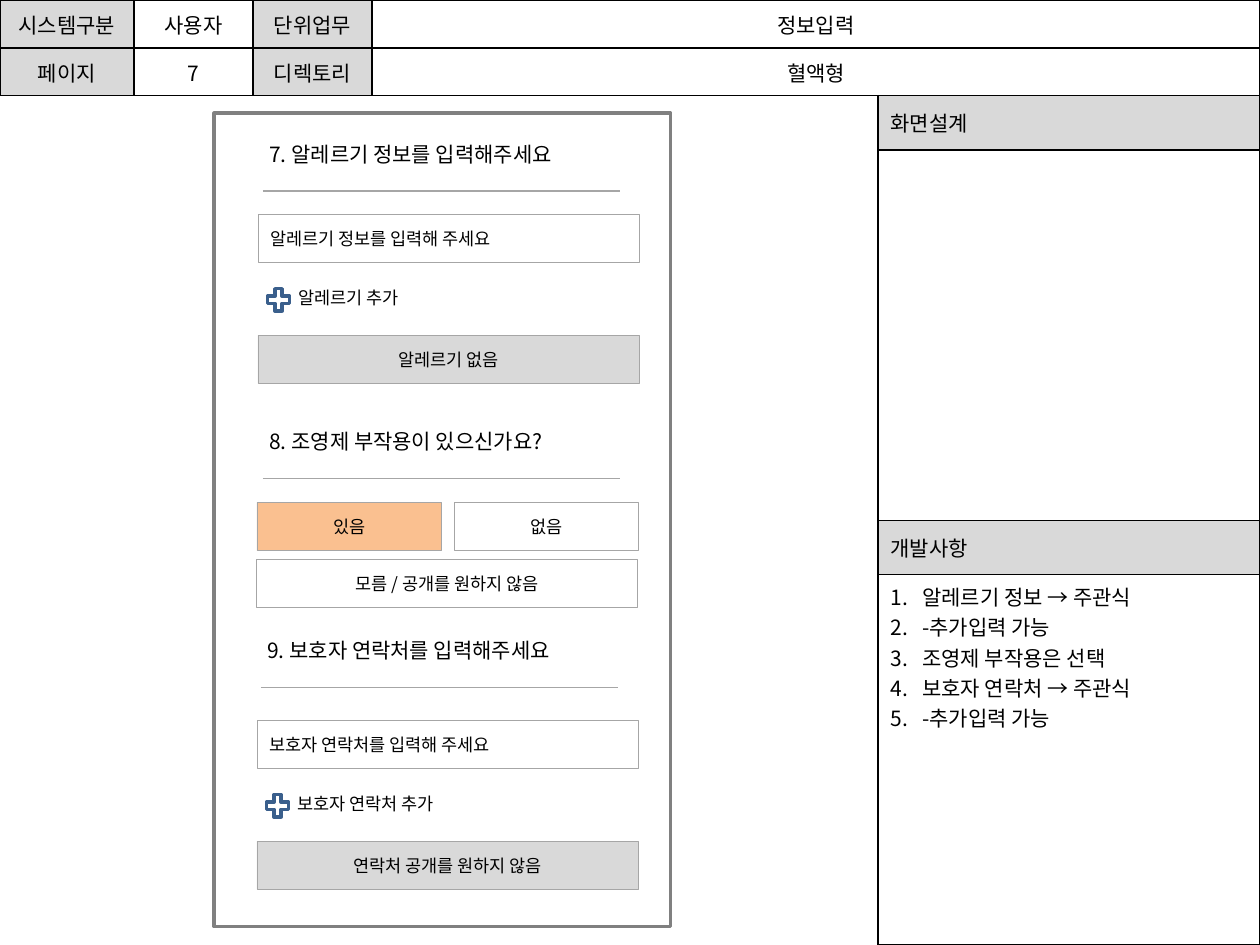
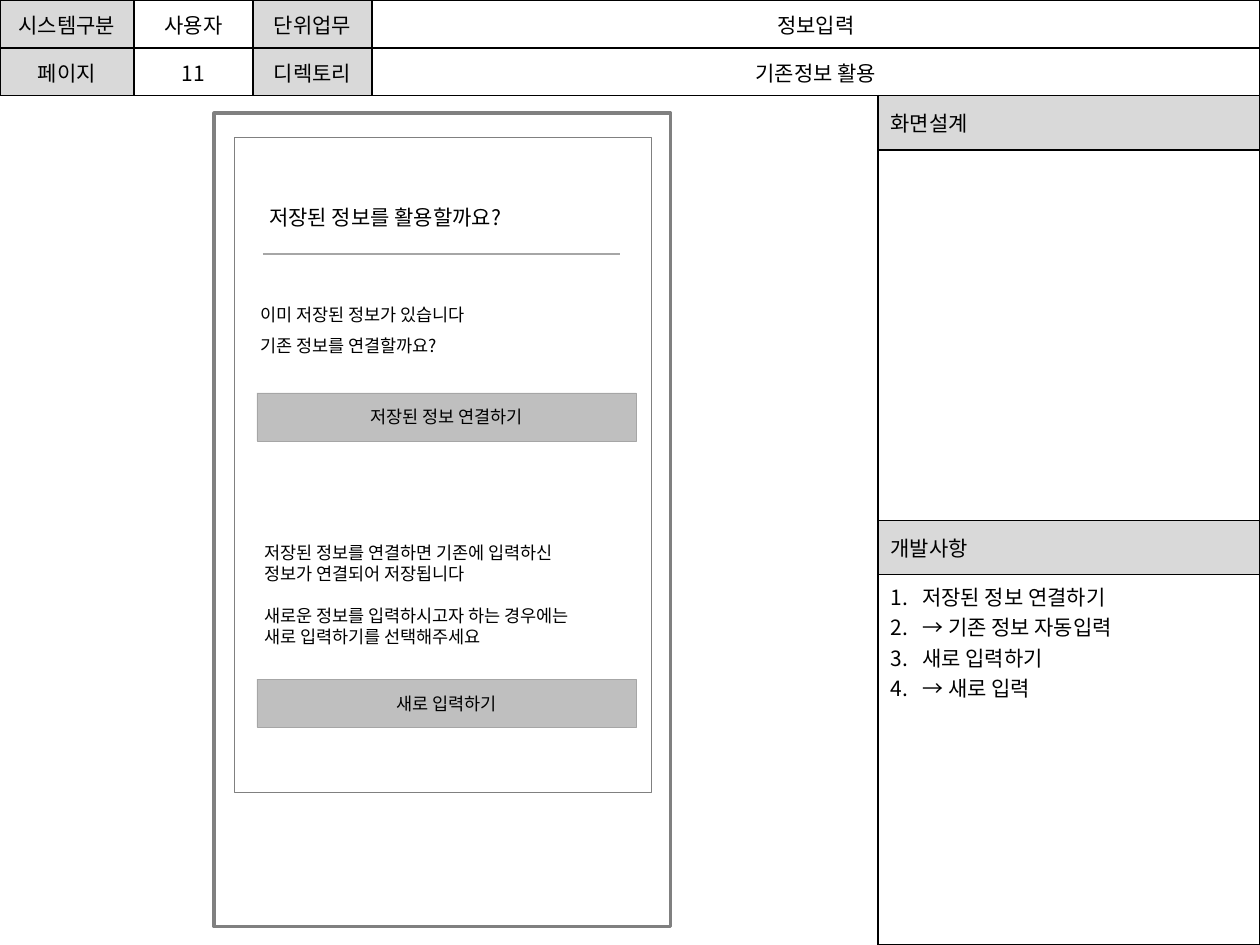
import pptx
import pptx.util
import pptx.dml.color
import pptx.enum.shapes
import pptx.enum.text
import pptx.oxml.ns
from lxml import etree
from pptx.util import Cm

COLORS = {"black": "000000", "white": "FFFFFF", "header": "D9D9D9", "button": "BFBFBF",
          "selected": "FAC090", "frame": "808080", "rule": "A6A6A6", "plus": "3A5F8C"}
FONT = "Noto Sans CJK KR"
SHAPES = pptx.enum.shapes.MSO_SHAPE
ALIGN = pptx.enum.text.PP_ALIGN
ANCHOR = pptx.enum.text.MSO_ANCHOR


def rgb(name):
    return pptx.dml.color.RGBColor.from_string(COLORS[name])


def add_xml(parent, tag, **attributes):
    return etree.SubElement(parent, pptx.oxml.ns.qn(tag), attributes)


class Storyboard:
    """Holds the deck style and draws elements on the current page."""

    def __init__(self):
        self.deck = pptx.Presentation()
        self.deck.slide_width, self.deck.slide_height = Cm(25.4), Cm(19.05)

    def new_page(self, number, directory, notes):
        self.page = self.deck.slides.add_slide(self.deck.slide_layouts[6])
        self.table(0, 0, [2.7, 2.4, 2.4, 17.9], [0.97, 0.96],
                   [["시스템구분", "사용자", "단위업무", "정보입력"],
                    ["페이지", number, "디렉토리", directory]],
                   lambda row, column: column % 2 == 0, ALIGN.CENTER)
        panel = self.table(17.7, 1.93, [7.7], [1.09, 7.47] * 2,
                           [["화면설계"], [""], ["개발사항"], ["\n".join(notes)]],
                           lambda row, column: row % 2 == 0, ALIGN.LEFT)
        self.number_list(panel.cell(3, 0))
        self.rectangle(4.32, 2.28, 9.2, 16.4, "white", "frame", 2)

    def set_text(self, frame, text, size, align=ALIGN.LEFT, spacing=None):
        frame.text = text
        for para in frame.paragraphs:
            para.alignment = align
            para.line_spacing = spacing
            for span in para.runs:
                span.font.size = pptx.util.Pt(size)
                span.font.name = FONT
                span.font.color.rgb = rgb("black")
                add_xml(span.font._element, "a:ea", typeface=FONT)

    def table(self, left, top, widths, heights, rows, is_header, align):
        graphic = self.page.shapes.add_table(len(rows), len(widths), Cm(left), Cm(top),
                                             Cm(sum(widths)), Cm(sum(heights)))
        table = graphic.table
        for column, width in zip(table.columns, widths):
            column.width = Cm(width)
        for row_index, (height, texts) in enumerate(zip(heights, rows)):
            table.rows[row_index].height = Cm(height)
            for column_index, text in enumerate(texts):
                cell = table.cell(row_index, column_index)
                self.set_text(cell.text_frame, text, 12, align)
                cell.vertical_anchor = ANCHOR.MIDDLE
                self.borders(cell)
                cell.fill.solid()
                cell.fill.fore_color.rgb = rgb("header" if is_header(row_index, column_index) else "white")
        return table

    def borders(self, cell):
        properties = cell._tc.get_or_add_tcPr()
        for side in "LRTB":
            line = add_xml(properties, f"a:ln{side}", w=str(pptx.util.Pt(1)))
            add_xml(add_xml(line, "a:solidFill"), "a:srgbClr", val=COLORS["black"])

    def number_list(self, cell):
        cell.vertical_anchor = ANCHOR.TOP
        indent = Cm(0.64)
        for para in cell.text_frame.paragraphs:
            properties = para._p.get_or_add_pPr()
            properties.set("marL", str(indent))
            properties.set("indent", str(-indent))
            add_xml(properties, "a:buAutoNum", type="arabicPeriod")

    def rectangle(self, left, top, width, height, fill, line="rule", weight=0.25, kind=SHAPES.RECTANGLE):
        box = self.page.shapes.add_shape(kind, Cm(left), Cm(top), Cm(width), Cm(height))
        box.shadow.inherit = False
        if fill:
            box.fill.solid()
            box.fill.fore_color.rgb = rgb(fill)
        else:
            box.fill.background()
        box.line.color.rgb = rgb(line)
        box.line.width = pptx.util.Pt(weight)
        return box

    def button(self, left, top, text, fill="white", width=7.68, align=ALIGN.CENTER):
        box = self.rectangle(left, top, width, 0.97, fill)
        self.set_text(box.text_frame, text, 10, align)
        box.text_frame.vertical_anchor = ANCHOR.MIDDLE

    def label(self, left, top, width, height, text, size=10, spacing=None):
        box = self.page.shapes.add_textbox(Cm(left), Cm(top), Cm(width), Cm(height))
        frame = box.text_frame
        frame.word_wrap = False
        frame.auto_size = pptx.enum.text.MSO_AUTO_SIZE.SHAPE_TO_FIT_TEXT
        self.set_text(frame, text, size, spacing=spacing)
        return frame

    def question(self, left, top, width, text):
        start, level = left + 0.12, top + 1.13
        rule = self.page.shapes.add_connector(pptx.enum.shapes.MSO_CONNECTOR.STRAIGHT,
                                              Cm(start), Cm(level), Cm(start + 7.2), Cm(level))
        rule.line.color.rgb = rgb("rule")
        rule.line.width = pptx.util.Pt(0.75)
        add_xml(rule._element.spPr, "a:effectLst")
        self.label(left, top, width, 0.77, text, 12)

    def entry(self, left, top, prompt, more, more_width, decline):
        self.button(left, top, prompt, align=ALIGN.LEFT)
        self.label(left + 0.57, top + 1.35, more_width, 0.68, more)
        self.rectangle(left + 0.11, top + 1.42, 0.61, 0.61, "white", "plus", 2, SHAPES.MATH_PLUS)
        self.button(left, top + 2.44, decline, "header")


def allergy_page(board):
    board.new_page("7", "혈액형", ["알레르기 정보 → 주관식", "-추가입력 가능", "조영제 부작용은 선택",
                                "보호자 연락처 → 주관식", "-추가입력 가능"])
    board.question(5.18, 2.72, 6.91, "7. 알레르기 정보를 입력해주세요")
    board.entry(5.2, 4.32, "알레르기 정보를 입력해 주세요", "알레르기 추가", 2.77, "알레르기 없음")
    board.question(5.18, 8.52, 6.73, "8. 조영제 부작용이 있으신가요?")
    board.button(5.18, 10.13, "있음", "selected", 3.72)
    board.button(9.15, 10.13, "없음", width=3.72)
    board.button(5.17, 11.27, "모름 / 공개를 원하지 않음")
    board.question(5.14, 12.73, 6.91, "9. 보호자 연락처를 입력해주세요")
    board.entry(5.18, 14.52, "보호자 연락처를 입력해 주세요", "보호자 연락처 추가", 3.61,
                "연락처 공개를 원하지 않음")


def reuse_page(board):
    board.new_page("11", "기존정보 활용", ["저장된 정보 연결하기", "→ 기존 정보 자동입력",
                                     "새로 입력하기", "→ 새로 입력"])
    board.rectangle(4.72, 2.77, 8.41, 13.21, None, "frame")
    board.question(5.18, 3.99, 5.74, "저장된 정보를 활용할까요?")
    board.label(5, 5.79, 5.16, 1.45, "이미 저장된 정보가 있습니다\n기존 정보를 연결할까요?", spacing=1.5)
    board.button(5.18, 7.92, "저장된 정보 연결하기", "button", 7.65)
    guide = board.label(5.08, 10.8, 7.42, 2.39,
                        "저장된 정보를 연결하면 기존에 입력하신\n정보가 연결되어 저장됩니다\n"
                        "새로운 정보를 입력하시고자 하는 경우에는\n새로 입력하기를 선택해주세요")
    guide.paragraphs[2].space_before = pptx.util.Pt(12)
    board.button(5.18, 13.69, "새로 입력하기", "button", 7.65)


def main():
    board = Storyboard()
    allergy_page(board)
    reuse_page(board)
    board.deck.save("out.pptx")


if __name__ == "__main__":
    main()
